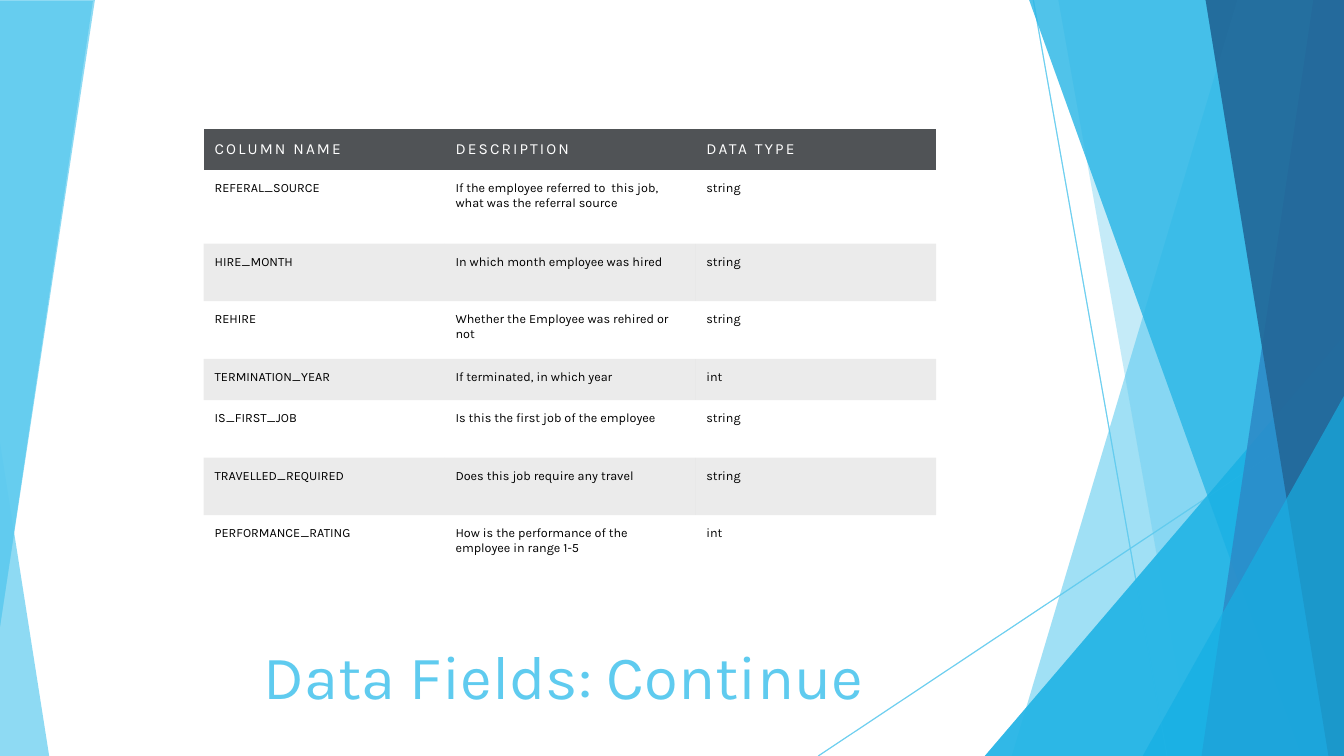
from pptx import Presentation
from pptx.dml.color import RGBColor
from pptx.enum.shapes import MSO_CONNECTOR, MSO_SHAPE
from pptx.enum.text import MSO_ANCHOR
from pptx.oxml.ns import qn
from pptx.oxml.xmlchemy import OxmlElement
from pptx.util import Cm, Pt

WIDTH, HEIGHT = 33.87, 19.05
TOP = -0.02
FONT = "Karla"
SKY, AZURE, BLUE, NAVY = "5FCBEF", "17B0E4", "2E83C3", "226292"
NO_STYLE_NO_GRID = "{2D5ABB26-0587-4C30-8999-92F81FD0307C}"

COLUMN_WIDTHS = [6.07, 6.32, 6.07]
FIELDS = [
    (1.04, "COLUMN NAME", "DESCRIPTION", "DATA TYPE"),
    (1.85, "REFERAL_SOURCE",
     "If the employee referred to  this job, what was the referral source", "string"),
    (1.45, "HIRE_MONTH", "In which month employee was hired", "string"),
    (1.45, "REHIRE", "Whether the Employee was rehired or not", "string"),
    (1.04, "TERMINATION_YEAR", "If terminated, in which year", "int"),
    (1.45, "IS_FIRST_JOB", "Is this the first job of the employee", "string"),
    (1.45, "TRAVELLED_REQUIRED", "Does this job require any travel", "string"),
    (1.45, "PERFORMANCE_RATING",
     "How is the performance of the employee in range 1-5", "int"),
]


def rgb(value):
    return RGBColor.from_string(value)


def set_opacity(properties, percent):
    """Make the first colour inside the given XML properties translucent."""
    alpha = OxmlElement("a:alpha")
    alpha.set("val", str(percent * 1000))
    properties.find(".//" + qn("a:srgbClr")).append(alpha)


def paint(shape, color, opacity):
    shape.shadow.inherit = False
    shape.fill.solid()
    shape.fill.fore_color.rgb = rgb(color)
    shape.line.fill.background()
    set_opacity(shape._element.spPr, opacity)


def add_ray(slide, start, end):
    ray = slide.shapes.add_connector(
        MSO_CONNECTOR.STRAIGHT, *(Cm(length) for length in start + end))
    ray.line.color.rgb = rgb(SKY)
    ray.line.width = Pt(0.75)
    properties = ray._element.spPr
    set_opacity(properties, 70)
    properties.append(OxmlElement("a:effectLst"))


def add_polygon(slide, points, color, opacity):
    first, *others = [(Cm(x), Cm(y)) for x, y in points]
    builder = slide.shapes.build_freeform(*first)
    builder.add_line_segments(others, close=True)
    paint(builder.convert_to_shape(), color, opacity)


def add_band(slide, top_x, bottom_x, color, opacity):
    """Fill from a slanted left edge to the right side of the slide."""
    points = [(top_x, TOP), (WIDTH, TOP), (WIDTH, HEIGHT), (bottom_x, HEIGHT)]
    add_polygon(slide, points, color, opacity)


def add_triangle(slide, left, top, right, bottom, apex, color, opacity):
    triangle = slide.shapes.add_shape(
        MSO_SHAPE.ISOSCELES_TRIANGLE,
        Cm(left), Cm(top), Cm(right - left), Cm(bottom - top))
    triangle.adjustments[0] = apex
    paint(triangle, color, opacity)
    return triangle


def add_facets(slide):
    """Add one layer of the translucent facets on the right."""
    add_ray(slide, (26.04, 0), (29.41, HEIGHT))
    add_ray(slide, (WIDTH, 10.24), (20.62, HEIGHT))
    add_band(slide, 31.19, 25.5, SKY, 36)
    add_band(slide, 26.67, 30.05, SKY, 20)
    add_triangle(slide, 24.82, 8.46, WIDTH, HEIGHT, 1, AZURE, 66)
    add_band(slide, 25.93, 32.79, AZURE, 50)
    add_band(slide, 33.1, 30.28, BLUE, 70)
    add_band(slide, 30.38, 33.48, NAVY, 80)
    add_triangle(slide, 28.8, 9.98, WIDTH, HEIGHT, 1, AZURE, 66)


def add_text(paragraph, text, size, color, spacing=0):
    run = paragraph.add_run()
    run.text = text
    run.font.name = FONT
    run.font.size = Pt(size)
    run.font.color.rgb = rgb(color)
    if spacing:
        run._r.get_or_add_rPr().set("spc", str(int(spacing * 100)))


def add_title(slide, text):
    title = slide.shapes.add_textbox(Cm(6.4), Cm(15.01), Cm(15.93), Cm(3.05))
    frame = title.text_frame
    frame.word_wrap = True
    frame.vertical_anchor = MSO_ANCHOR.BOTTOM
    add_text(frame.paragraphs[0], text, 44, SKY)


def fill_cell(cell, text, row):
    cell.margin_left = cell.margin_right = Cm(0.28)
    cell.margin_top = cell.margin_bottom = Cm(0.28)
    paragraph = cell.text_frame.paragraphs[0]
    if row == 0:
        add_text(paragraph, text, 11, "FFFFFF", spacing=1.5)
        cell.fill.solid()
        cell.fill.fore_color.rgb = rgb("505356")
        return
    add_text(paragraph, text, 9, "000000")
    if row % 2:
        cell.fill.background()
    else:
        cell.fill.solid()
        cell.fill.fore_color.rgb = rgb("000000")
        set_opacity(cell._tc.tcPr, 8)


def add_field_table(slide):
    height = sum(field[0] for field in FIELDS)
    frame = slide.shapes.add_table(
        len(FIELDS), len(COLUMN_WIDTHS),
        Cm(5.13), Cm(3.25), Cm(sum(COLUMN_WIDTHS)), Cm(height))
    table = frame.table
    table.horz_banding = False
    table._tbl.tblPr.find(qn("a:tableStyleId")).text = NO_STYLE_NO_GRID
    for column, width in zip(table.columns, COLUMN_WIDTHS):
        column.width = Cm(width)
    for row, (row_height, *texts) in enumerate(FIELDS):
        table.rows[row].height = Cm(row_height)
        for column, text in enumerate(texts):
            fill_cell(table.cell(row, column), text, row)


def main():
    presentation = Presentation()
    presentation.slide_width = Cm(WIDTH)
    presentation.slide_height = Cm(HEIGHT)
    slide = presentation.slides.add_slide(presentation.slide_layouts[6])

    add_facets(slide)
    add_triangle(slide, 0, 11.15, 1.24, HEIGHT, 0, SKY, 70)
    left_edge = [(0, 0), (2.39, TOP), (2.39, 0.02), (0, 15.8)]
    add_polygon(slide, left_edge, SKY, 70)
    add_facets(slide)

    add_title(slide, "Data Fields: Continue")
    left_wedge = add_triangle(slide, 0, 0.03, 2.34, 15.78, 1, SKY, 85)
    left_wedge.rotation = 180
    add_field_table(slide)
    presentation.save("out.pptx")


if __name__ == "__main__":
    main()
